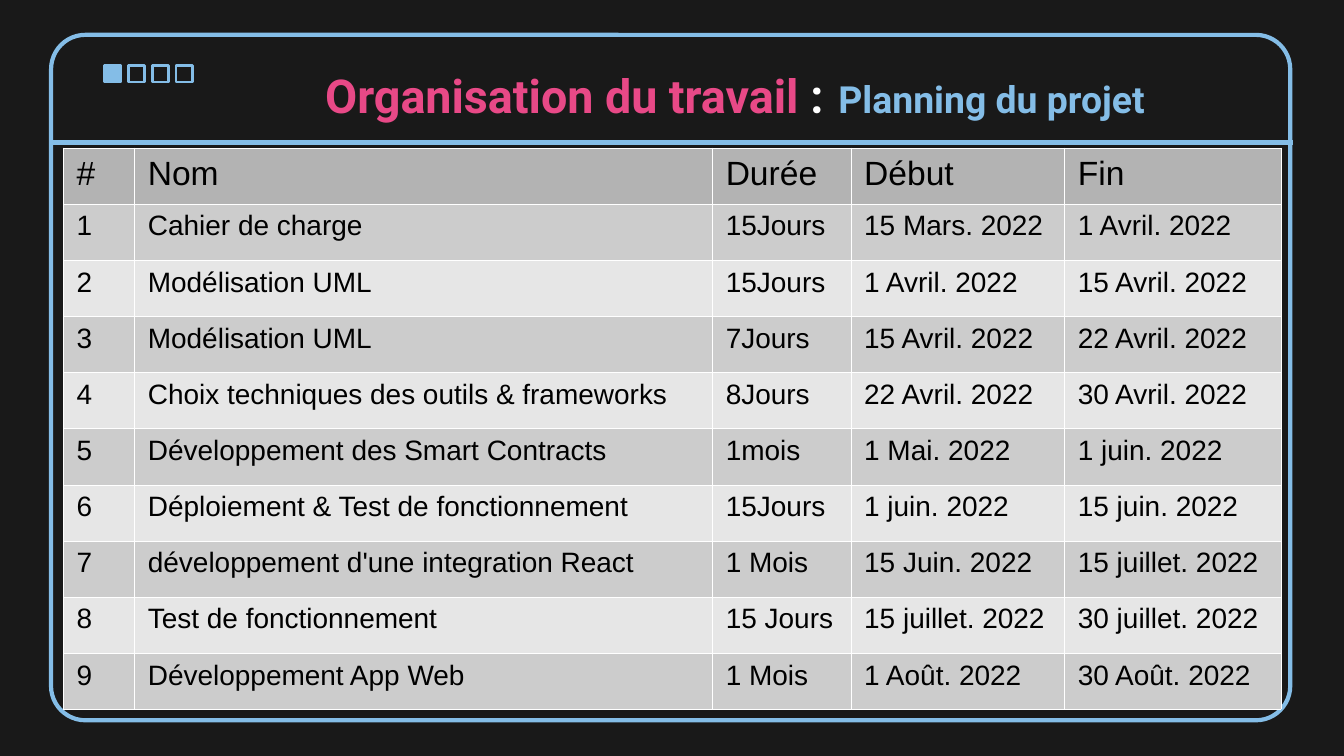
from dataclasses import dataclass

from lxml.etree import SubElement
from pptx import Presentation
from pptx.dml.color import RGBColor
from pptx.enum.shapes import MSO_CONNECTOR as Connector, MSO_SHAPE as Shape
from pptx.enum.text import MSO_ANCHOR as Anchor, MSO_AUTO_SIZE as AutoSize, PP_ALIGN as Align
from pptx.oxml.ns import qn
from pptx.util import Inches, Pt


@dataclass(frozen=True)
class Theme:
    background: str = "191919"
    blue: str = "84BDE7"
    pink: str = "E84987"
    white: str = "FFFFFF"
    black: str = "000000"
    header_fill: str = "B3B3B3"
    band_fills: tuple = ("CCCCCC", "E6E6E6")
    title_font: str = "Roboto"
    table_font: str = "Arial"
    title_size: int = 25
    gap_size: int = 32
    subtitle_size: int = 20
    header_size: int = 18
    body_size: int = 15
    marker_line: float = 1.5
    frame_line: float = 2.25
    border_line: float = 0.06


THEME = Theme()

TITLE = [
    ("Organisation du travail ", THEME.title_size, THEME.pink),
    (":", THEME.title_size, THEME.white),
    (" ", THEME.gap_size, THEME.blue),
    ("Planning du projet", THEME.subtitle_size, THEME.blue),
]
HEADER = ("#", "Nom", "Durée", "Début", "Fin")
TASKS = [
    ("Cahier de charge", "15Jours", "15 Mars. 2022", "1 Avril. 2022"),
    ("Modélisation UML", "15Jours", "1 Avril. 2022", "15 Avril. 2022"),
    ("Modélisation UML", "7Jours", "15 Avril. 2022", "22 Avril. 2022"),
    ("Choix techniques des outils & frameworks", "8Jours", "22 Avril. 2022", "30 Avril. 2022"),
    ("Développement des Smart Contracts", "1mois", "1 Mai. 2022", "1 juin. 2022"),
    ("Déploiement & Test de fonctionnement", "15Jours", "1 juin. 2022", "15 juin. 2022"),
    ("développement d'une integration React", "1 Mois", "15 Juin. 2022", "15 juillet. 2022"),
    ("Test de fonctionnement", "15 Jours", "15 juillet. 2022", "30 juillet. 2022"),
    ("Développement App Web", "1 Mois", "1 Août. 2022", "30 Août. 2022"),
]
SLIDE_WIDTH = Inches(10)
SLIDE_HEIGHT = SLIDE_WIDTH * 9 // 16
COLUMN_WIDTHS = (0.53, 4.3, 1.03, 1.59, 1.61)
TABLE_BOX = (0.47, 1.1, 9.05, 4.18)
TITLE_BOX = (1.26, 0.24, 8.42, 0.86)
FRAME_BOX = (0.38, 0.26, 9.22, 5.1)
DIVIDER = (0.37, 1.06, 9.62, 1.06)
MARKER_COUNT, MARKER_TOP, MARKER_SIZE = 4, 0.49, 0.12
FIRST_MARKER_LEFT, LAST_MARKER_LEFT = 0.78, 1.31


def color(value):
    return RGBColor.from_string(value)


def inches(values):
    return [Inches(value) for value in values]


def add_run(paragraph, text, font_name, size, text_color, bold):
    run = paragraph.add_run()
    run.text = text
    run.font.name = font_name
    run.font.size = Pt(size)
    run.font.bold = bold
    run.font.color.rgb = color(text_color)


def add_outline(slide, kind, box, line_width, filled=False):
    shape = slide.shapes.add_shape(kind, *inches(box))
    shape.shadow.inherit = False
    if filled:
        shape.fill.solid()
        shape.fill.fore_color.rgb = color(THEME.blue)
    else:
        shape.fill.background()
    shape.line.color.rgb = color(THEME.blue)
    shape.line.width = Pt(line_width)
    return shape


def add_frame(slide):
    step = (LAST_MARKER_LEFT - FIRST_MARKER_LEFT) / (MARKER_COUNT - 1)
    for index in range(MARKER_COUNT):
        left = FIRST_MARKER_LEFT + index * step
        add_outline(slide, Shape.RECTANGLE, (left, MARKER_TOP, MARKER_SIZE, MARKER_SIZE),
                    THEME.marker_line, filled=index == 0)
    frame = add_outline(slide, Shape.ROUNDED_RECTANGLE, FRAME_BOX, THEME.frame_line)
    frame.adjustments[0] = 0.05
    divider = slide.shapes.add_connector(Connector.STRAIGHT, *inches(DIVIDER))
    divider.line.color.rgb = color(THEME.blue)
    divider.line.width = Pt(THEME.frame_line)
    SubElement(divider.element.spPr, qn("a:effectLst"))


def fill_title(title):
    title.left, title.top, title.width, title.height = inches(TITLE_BOX)
    frame = title.text_frame
    frame.word_wrap = True
    frame.auto_size = AutoSize.NONE
    frame.vertical_anchor = Anchor.MIDDLE
    frame.margin_left = frame.margin_right = frame.margin_top = frame.margin_bottom = Inches(0.1)
    paragraph = frame.paragraphs[0]
    paragraph.alignment = Align.CENTER
    for text, size, text_color in TITLE:
        add_run(paragraph, text, THEME.title_font, size, text_color, bold=True)


def add_borders(cell):
    properties = cell._tc.get_or_add_tcPr()
    for side in ("a:lnL", "a:lnR", "a:lnT", "a:lnB"):
        line = SubElement(properties, qn(side), w=str(int(Pt(THEME.border_line))))
        fill = SubElement(line, qn("a:solidFill"))
        SubElement(fill, qn("a:srgbClr"), val=THEME.white)


def add_planning(slide):
    rows = [HEADER] + [(str(number), *task) for number, task in enumerate(TASKS, 1)]
    table = slide.shapes.add_table(len(rows), len(HEADER), *inches(TABLE_BOX)).table
    table.first_row = table.horz_banding = False
    for column, width in zip(table.columns, COLUMN_WIDTHS):
        column.width = Inches(width)
    for row_index, values in enumerate(rows):
        table.rows[row_index].height = Inches(TABLE_BOX[3] / len(rows))
        is_header = row_index == 0
        row_fill = THEME.header_fill if is_header else THEME.band_fills[(row_index - 1) % 2]
        size = THEME.header_size if is_header else THEME.body_size
        for column_index, text in enumerate(values):
            cell = table.cell(row_index, column_index)
            add_borders(cell)
            cell.fill.solid()
            cell.fill.fore_color.rgb = color(row_fill)
            add_run(cell.text_frame.paragraphs[0], text, THEME.table_font, size,
                    THEME.black, bold=False)


def main():
    presentation = Presentation()
    presentation.slide_width, presentation.slide_height = SLIDE_WIDTH, SLIDE_HEIGHT
    slide = presentation.slides.add_slide(presentation.slide_layouts[5])
    slide.background.fill.solid()
    slide.background.fill.fore_color.rgb = color(THEME.background)
    add_frame(slide)
    fill_title(slide.shapes.title)
    add_planning(slide)
    presentation.save("out.pptx")


if __name__ == "__main__":
    main()
